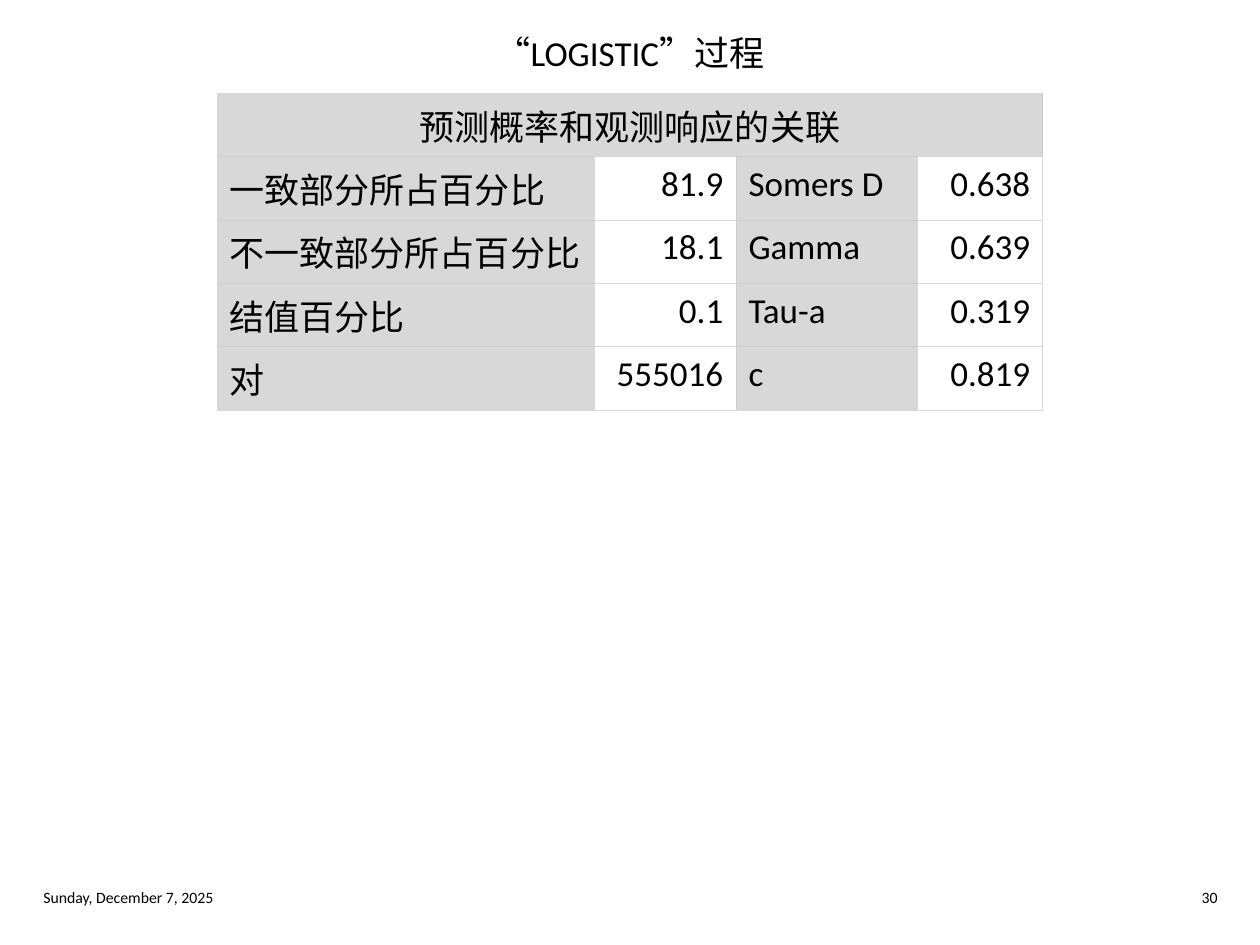
from lxml import etree
from pptx import Presentation
from pptx.dml.color import RGBColor
from pptx.enum.text import MSO_ANCHOR as ANCHOR, MSO_AUTO_SIZE as AUTO, PP_ALIGN as ALIGN
from pptx.oxml.ns import qn
from pptx.util import Pt

PX = 914400 / 126
BLACK = RGBColor(0x00, 0x00, 0x00)
WHITE = RGBColor(0xFF, 0xFF, 0xFF)
GRAY = RGBColor(0xD8, 0xD8, 0xD8)
RULE = RGBColor(0xCC, 0xCC, 0xCC)
FONT = "Calibri"
COL_WIDTHS = [377, 142, 182, 125]
ROW_HEIGHT = 53
TITLE = "“LOGISTIC”过程"
ROWS = [
    ["预测概率和观测响应的关联", "", "", ""],
    ["一致部分所占百分比", "81.9", "Somers D", "0.638"],
    ["不一致部分所占百分比", "18.1", "Gamma", "0.639"],
    ["结值百分比", "0.1", "Tau-a", "0.319"],
    ["对", "555016", "c", "0.819"],
]


def px(n):
    return round(n * PX)


def set_text(tf, text, size, align):
    tf.text = text
    p = tf.paragraphs[0]
    p.alignment = align
    for r in p.runs:
        r.font.size = Pt(size)
        r.font.name = FONT
        r.font.color.rgb = BLACK


def place(sp, left, top, width, height):
    sp.left, sp.top, sp.width, sp.height = map(px, (left, top, width, height))


def add_title(slide, text):
    sp = slide.shapes.title
    place(sp, 31, 31, 1198, 53)
    tf = sp.text_frame
    tf.auto_size = AUTO.NONE
    tf.vertical_anchor = ANCHOR.TOP
    tf.margin_top = tf.margin_bottom = 0
    set_text(tf, text, 20, ALIGN.CENTER)


def add_footer(slide, left, text, align):
    sp = slide.shapes.add_textbox(px(left), px(881), px(300), px(33))
    tf = sp.text_frame
    tf.word_wrap = True
    tf.vertical_anchor = ANCHOR.MIDDLE
    set_text(tf, text, 9, align)


def set_borders(cell, colors):
    tc_pr = cell._tc.get_or_add_tcPr()
    for i, (side, color) in enumerate(zip("LRTB", colors)):
        ln = etree.Element(qn(f"a:ln{side}"), w=str(Pt(0.5)))
        fill = etree.SubElement(ln, qn("a:solidFill"))
        etree.SubElement(fill, qn("a:srgbClr"), val=str(color))
        tc_pr.insert(i, ln)


def format_cell(cell, row, col, text):
    header = row == 0
    shaded = header or col % 2 == 0
    cell.fill.solid()
    cell.fill.fore_color.rgb = GRAY if shaded else WHITE
    outer = [not shaded or edge for edge in
             (col == 0, False, header, row == len(ROWS) - 1)]
    set_borders(cell, [GRAY if edge else RULE for edge in outer])
    cell.vertical_anchor = ANCHOR.BOTTOM if header else ANCHOR.TOP
    align = ALIGN.CENTER if header else ALIGN.LEFT if shaded else ALIGN.RIGHT
    if text:
        set_text(cell.text_frame, text, 20, align)


def add_association_table(slide):
    frame = slide.shapes.add_table(
        len(ROWS), len(COL_WIDTHS), px(217), px(93),
        px(sum(COL_WIDTHS)), px(ROW_HEIGHT * len(ROWS)))
    table = frame.table
    table.first_row = table.horz_banding = False
    for column, width in zip(table.columns, COL_WIDTHS):
        column.width = px(width)
    for i, values in enumerate(ROWS):
        table.rows[i].height = px(ROW_HEIGHT)
        for j, text in enumerate(values):
            format_cell(table.cell(i, j), i, j, text)
    table.cell(0, 0).merge(table.cell(0, len(COL_WIDTHS) - 1))


def main():
    """Build the slide on the association of predicted and observed responses."""
    prs = Presentation()
    prs.slide_width, prs.slide_height = px(1260), px(945)
    slide = prs.slides.add_slide(prs.slide_layouts[5])
    add_title(slide, TITLE)
    add_association_table(slide)
    add_footer(slide, 31, "Sunday, December 7, 2025", ALIGN.LEFT)
    add_footer(slide, 930, "30", ALIGN.RIGHT)
    prs.save("out.pptx")


if __name__ == "__main__":
    main()
